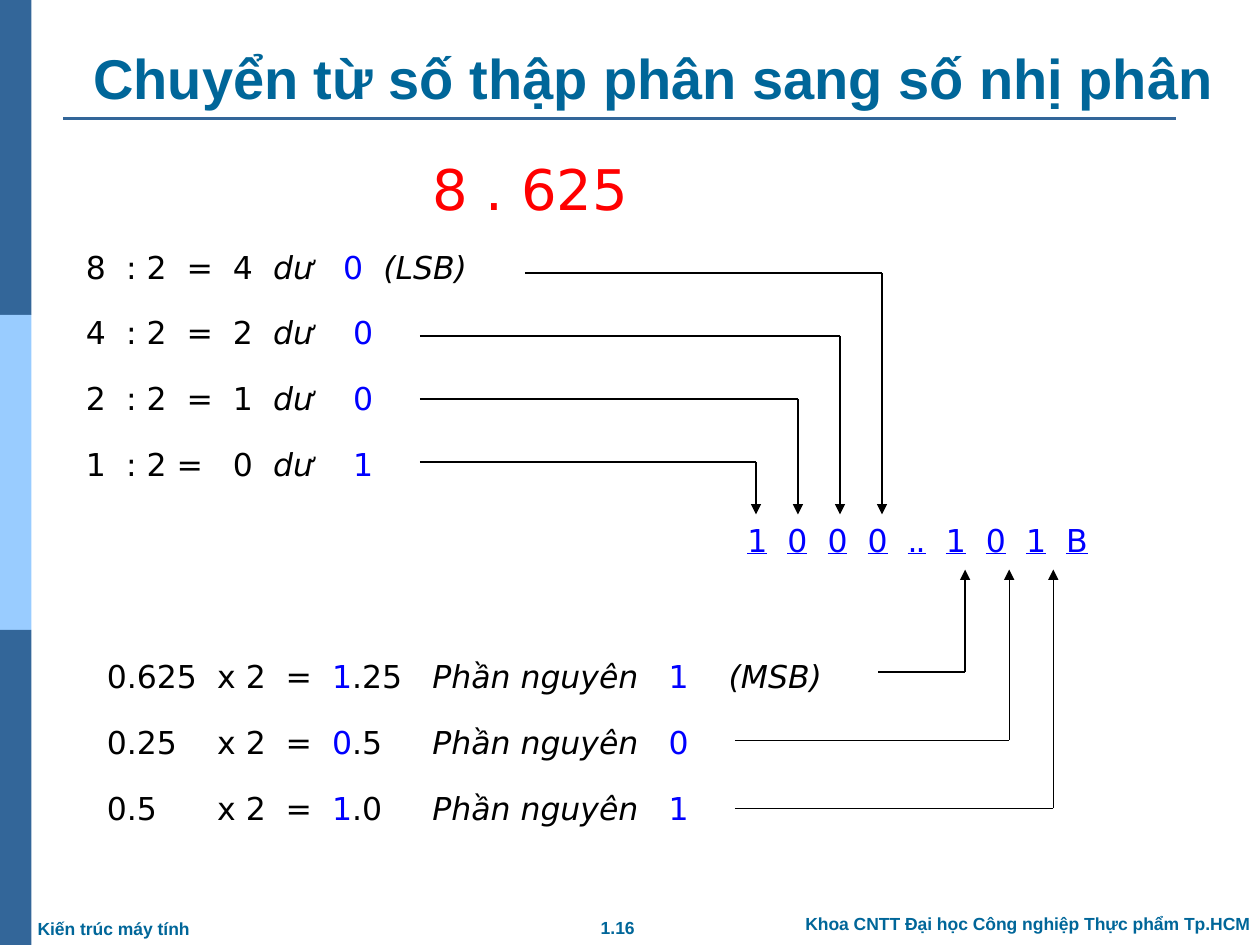
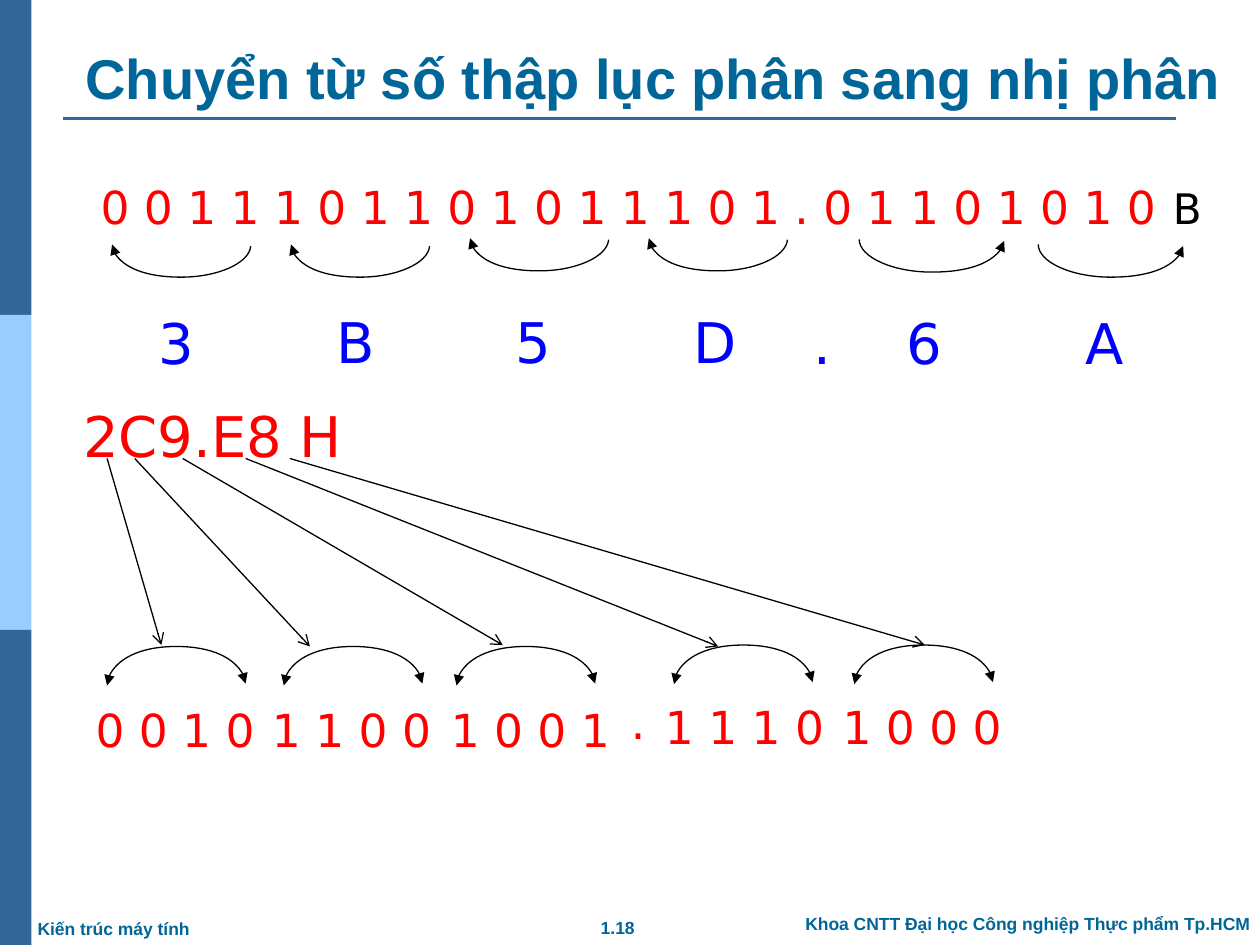
from dataclasses import dataclass

from lxml.etree import SubElement
from pptx import Presentation
from pptx.dml.color import RGBColor as RGB
from pptx.enum.shapes import MSO_CONNECTOR as CONNECTOR, MSO_SHAPE as SHAPE
from pptx.enum.text import MSO_ANCHOR as ANCHOR, PP_ALIGN as ALIGN
from pptx.oxml.ns import qn
from pptx.util import Pt


@dataclass(frozen=True)
class Theme:
    heading: RGB = RGB(0x00, 0x66, 0x99)
    band: RGB = RGB(0x33, 0x66, 0x99)
    band_light: RGB = RGB(0x99, 0xCC, 0xFF)
    ink: RGB = RGB(0, 0, 0)
    red: RGB = RGB(0xFF, 0, 0)
    blue: RGB = RGB(0, 0, 0xFF)
    heading_font: str = "Arial"
    body_font: str = "DejaVu Sans"
    large: int = 32
    bits: int = 26
    suffix: int = 24
    body: int = 18
    footer: int = 10
    thin: float = 0.75
    rule: float = 1.5


THEME = Theme()

COURSE = "Kiến trúc máy tính"
FACULTY = "Khoa CNTT Đại học Công nghiệp Thực phẩm Tp.HCM"

# Styles of the runs in a calculation row: n plain, i italic, b blue.
DIVISIONS = [
    [("n", "8\t: 2\t=\t4\t"), ("i", "dư\t"), ("b", "0\t"), ("i", "(LSB)")],
    [("n", "4\t: 2\t=\t2\t"), ("i", "dư\t "), ("b", "0")],
    [("n", "2\t: 2\t=\t1\t"), ("i", "dư\t "), ("b", "0")],
    [("n", "1\t: 2 =\t0\t"), ("i", "dư\t "), ("b", "1")],
]
DIVISION_TABS = [23, 57.6, 84, 107, 147, 170]
MULTIPLICATIONS = [
    [("n", "0.625\tx 2\t=\t"), ("b", "1"), ("n", ".25\t"),
     ("i", "Phần nguyên\t"), ("b", "1\t"), ("i", "(MSB)")],
    [("n", "0.25\tx 2\t=\t"), ("b", "0"), ("n", ".5\t"),
     ("i", "Phần nguyên\t"), ("b", "0")],
    [("n", "0.5\tx 2\t=\t"), ("b", "1"), ("n", ".0\t"),
     ("i", "Phần nguyên\t"), ("b", "1")],
]
MULTIPLICATION_TABS = [63, 102.2, 128.7, 186, 321, 355.3]
BIT_PITCH = 22.9
# text, left, width, tab stops
RESULT_PARTS = [
    ("1\t0\t0\t0\t.", 420, 244, [BIT_PITCH * k for k in range(1, 5)]),
    (".\t1\t0\t1\tB\t", 516.2, 156,
     [17.2 + BIT_PITCH * k for k in range(4)] + [109.6]),
]
REMAINDER_STARTS = [300, 240, 240, 240]
INTEGER_STARTS = [501.8, 420, 420]

LONG_BITS = "0 0 1 1 1 0 1 1 0 1 0 1 1 1 0 1 . 0 1 1 0 1 0 1 0 "
# digit, left, top
HEX_DIGITS = [
    ("3", 83.5, 172.8), ("B", 185.4, 172.1), ("5", 287.4, 172.1),
    ("D", 389.5, 172.1), (".", 457.9, 172.8), ("6", 511.2, 172.8),
    ("A", 613.4, 172.8),
]
# left, top, width, end with the arrowhead
HEX_ARCS = [
    (64.1, 139.7, 79.2, "tail"), (166.3, 139.7, 79.2, "tail"),
    (268.6, 136.1, 79.2, "tail"), (370.8, 136.1, 79.2, "tail"),
    (491, 136.8, 82.8, "head"), (593.3, 139.7, 82.8, "head"),
]
# bits, text left, text top, arc left, arc top, arrow start x, arrow end
NIBBLES = [
    ("0 0 1 0", 47.5, 397.4, 61.2, 369.4, 61.2, (92.2, 368.6)),
    ("1 1 0 0", 148.3, 397.4, 162.2, 369.4, 77, (177.1, 369.4)),
    ("1 0 0 1", 250.5, 397.4, 260.9, 369.4, 104.4, (287.3, 368.6)),
    ("1 1 1 0", 372.9, 396, 385.2, 368.6, 140.4, (410.4, 369.4)),
    ("1 0 0 0", 474.4, 396, 488.2, 368.6, 165.6, (528.5, 368.6)),
]

# Two Bezier pieces from the right end to the left end, in a unit box.
ARC_POINTS = [(1, 0.05), (0.99, 0.58), (0.76, 1), (0.5, 1),
              (0.23, 1), (0, 0.54), (0, 0)]


def add_text(slide, box, paragraphs, align=ALIGN.LEFT, anchor=ANCHOR.TOP,
             font=THEME.body_font, bold=False, before=None, tabs=()):
    """Each paragraph is a list of (text, size, colour, flags); flags: i, u."""
    shape = slide.shapes.add_textbox(*map(Pt, box))
    frame = shape.text_frame
    frame.word_wrap = True
    frame.vertical_anchor = anchor
    for index, runs in enumerate(paragraphs):
        paragraph = frame.paragraphs[0] if index == 0 else frame.add_paragraph()
        paragraph.alignment = align
        if before is not None:
            paragraph.space_before = Pt(before)
        if tabs:
            stops = SubElement(paragraph._p.get_or_add_pPr(), qn("a:tabLst"))
            for position in tabs:
                SubElement(stops, qn("a:tab"), pos=str(Pt(position)), algn="l")
        for text, size, colour, flags in runs:
            run = paragraph.add_run()
            run.text = text
            run.font.name = font
            run.font.size = Pt(size)
            run.font.color.rgb = colour
            run.font.bold = bold
            run.font.italic = "i" in flags
            run.font.underline = "u" in flags


def style_line(shape, colour, width, **ends):
    shape.line.color.rgb = colour
    shape.line.width = Pt(width)
    for end in ("head", "tail"):
        if end in ends:
            SubElement(shape.line._get_or_add_ln(), qn(f"a:{end}End"),
                       type=ends[end])


def add_line(slide, start, end, colour=THEME.ink, width=THEME.thin, **ends):
    line = slide.shapes.add_connector(CONNECTOR.STRAIGHT,
                                      *map(Pt, (*start, *end)))
    style_line(line, colour, width, **ends)
    SubElement(line._element.spPr, qn("a:effectLst"))


def add_elbow(slide, start, end):
    """Run across from start, then up or down to an arrowhead at end."""
    corner = (end[0], start[1])
    add_line(slide, start, corner)
    add_line(slide, corner, end, tail="triangle")


def add_arc(slide, left, top, width, height, arched=False, **ends):
    """Draw half an ellipse: a bowl, or an arch when arched."""
    points = [(Pt(left + width * x),
               Pt(top + height * (1 - y if arched else y)))
              for x, y in ARC_POINTS]
    builder = slide.shapes.build_freeform(*points[0])
    builder.add_line_segments(points[1:], close=False)
    arc = builder.convert_to_shape()
    segments = list(arc._element.iter(qn("a:lnTo")))
    outline = segments[0].getparent()
    for first in (0, 3):
        curve = SubElement(outline, qn("a:cubicBezTo"))
        for segment in segments[first:first + 3]:
            curve.append(segment[0])
            outline.remove(segment)
    arc.fill.background()
    arc.shadow.inherit = False
    style_line(arc, THEME.ink, THEME.thin, **ends)


def add_frame_slide(presentation, title, number):
    slide = presentation.slides.add_slide(presentation.slide_layouts[6])
    for index, colour in enumerate((THEME.band, THEME.band_light, THEME.band)):
        band = slide.shapes.add_shape(
            SHAPE.RECTANGLE, *map(Pt, (0, 180 * index, 18, 180)))
        band.shadow.inherit = False
        band.fill.solid()
        band.fill.fore_color.rgb = colour
        band.line.fill.background()
    add_line(slide, (36, 67.7), (672, 67.7), THEME.band, THEME.rule)
    for text, box, size, align, anchor in (
        (number, (331, 520.6, 44, 19), THEME.footer, ALIGN.CENTER, ANCHOR.TOP),
        (FACULTY, (450, 518.4, 274.3, 19), THEME.footer, ALIGN.CENTER, ANCHOR.TOP),
        (COURSE, (14.4, 521.2, 116, 19), THEME.footer, ALIGN.LEFT, ANCHOR.TOP),
        (title, (36, 21.6, 675.4, 45.4), THEME.large, ALIGN.CENTER, ANCHOR.BOTTOM),
    ):
        add_text(slide, box, [[(text, size, THEME.heading, "")]], align, anchor,
                 THEME.heading_font, bold=True)
    return slide


def add_calculation(slide, box, rows, tabs):
    styles = {"n": (THEME.ink, ""), "i": (THEME.ink, "i"), "b": (THEME.blue, "")}
    add_text(slide, box,
             [[(text, THEME.body, *styles[style]) for style, text in row]
              for row in rows], before=16, tabs=tabs)


def build_decimal_slide(presentation):
    slide = add_frame_slide(
        presentation, "Chuyển từ số thập phân sang số nhị phân", "1.16")
    add_text(slide, (240, 85, 222, 42),
             [[("8 . 625", THEME.large, THEME.red, "")]])
    add_calculation(slide, (42, 138, 335.5, 144), DIVISIONS, DIVISION_TABS)
    add_calculation(slide, (54, 372, 453, 113), MULTIPLICATIONS,
                    MULTIPLICATION_TABS)
    for text, left, width, tabs in RESULT_PARTS:
        add_text(slide, (left, 294, width, 42),
                 [[(text, THEME.body, THEME.blue, "u")]], tabs=tabs)
    for row, start in enumerate(REMAINDER_STARTS):
        add_elbow(slide, (start, 156 + 36 * row), (504 - 24 * row, 294))
    for row, start in enumerate(INTEGER_STARTS):
        add_elbow(slide, (start, 384 + 39 * row), (551.5 + 25.2 * row, 325.5))


def build_hexadecimal_slide(presentation):
    slide = add_frame_slide(
        presentation, "Chuyển từ số thập lục phân sang nhị phân", "1.18")
    add_text(slide, (50.4, 98.6, 669.6, 36),
             [[(LONG_BITS, THEME.bits, THEME.red, ""),
               ("B", THEME.suffix, THEME.ink, "")]])
    for left, top, width, end in HEX_ARCS:
        add_arc(slide, left, top, width, 18.7, **{end: "triangle"})
    for digit, left, top in HEX_DIGITS:
        add_text(slide, (left, top, 42, 36),
                 [[(digit, THEME.large, THEME.blue, "")]])
    add_text(slide, (40.4, 226, 217, 36),
             [[("2C9.E8 H", THEME.large, THEME.red, "")]])
    add_text(slide, (353.5, 393, 36, 36),
             [[(".", THEME.bits, THEME.red, "")]])
    for bits, left, top, arc_left, arc_top, start, end in NIBBLES:
        add_arc(slide, arc_left, arc_top, 79.2, 22.3, arched=True,
                head="triangle", tail="triangle")
        add_text(slide, (left, top, 118, 36),
                 [[(bits, THEME.bits, THEME.red, "")]])
        add_line(slide, (start, 262), end, tail="arrow")


def main():
    presentation = Presentation()
    presentation.slide_width = Pt(720)
    presentation.slide_height = Pt(540)
    build_decimal_slide(presentation)
    build_hexadecimal_slide(presentation)
    presentation.save("out.pptx")


if __name__ == "__main__":
    main()
